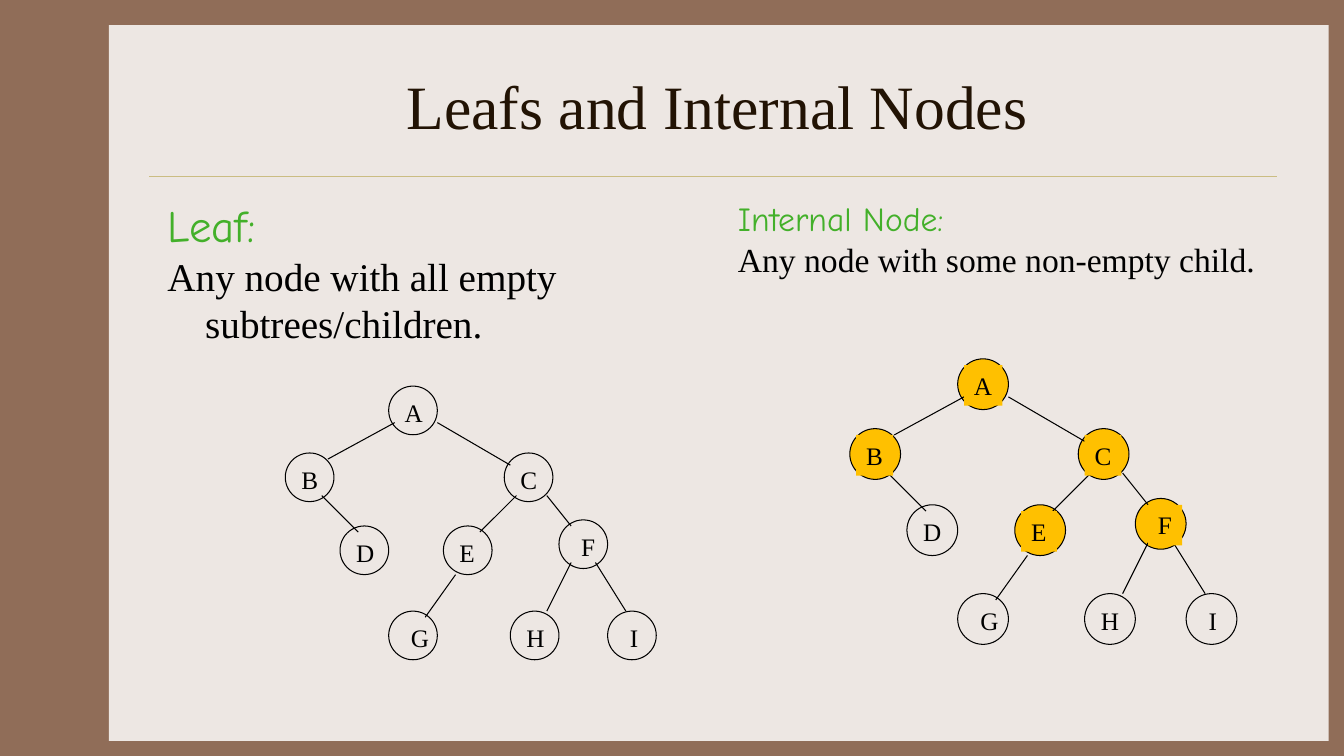
from dataclasses import dataclass

from lxml.etree import SubElement
from pptx import Presentation
from pptx.dml.color import RGBColor
from pptx.enum.shapes import MSO_CONNECTOR, MSO_SHAPE
from pptx.enum.text import MSO_ANCHOR, MSO_AUTO_SIZE, PP_ALIGN
from pptx.oxml.ns import qn
from pptx.util import Pt


@dataclass(frozen=True)
class Theme:
    frame: RGBColor = RGBColor(0x90, 0x6D, 0x58)
    panel: RGBColor = RGBColor(0xED, 0xE7, 0xE3)
    rule: RGBColor = RGBColor(0xCB, 0xBD, 0x83)
    title: RGBColor = RGBColor(0x22, 0x13, 0x04)
    term: RGBColor = RGBColor(0x43, 0xB0, 0x2A)
    ink: RGBColor = RGBColor(0, 0, 0)
    internal: RGBColor = RGBColor(0xFF, 0xC0, 0x00)
    serif: str = "Times New Roman"
    casual: str = "Comic Neue"
    title_size: int = 44
    label_size: int = 18


THEME = Theme()

# Tree layout in grid units: node -> (x, y, label offset, label width in points)
NODE_SIZE = 8
TREE_WIDTH = 61
NODES = {
    "A": (17, 0, 1, 27.4),
    "B": (0, 11, 1, 26.4),
    "C": (36, 11, 1, 26.4),
    "D": (9, 23, 1, 27.4),
    "E": (26, 23, 1, 25.6),
    "F": (45, 22, 2, 24.4),
    "G": (17, 37, 2, 27.4),
    "H": (37, 37, 1, 27.4),
    "I": (53, 37, 2, 20.6),
}
LABEL_HEIGHT = 29
EDGES = [
    (18, 6, 7, 12),
    (25, 6, 37, 13),
    (6, 18, 12, 24),
    (38, 18, 32, 24),
    (43, 18, 47, 23),
    (28, 31, 23, 38),
    (47, 29, 43, 37),
    (51, 29, 56, 37),
]


def style_font(font, size, name, color):
    values = {"size": Pt(size), "name": name, "bold": False}
    for key, value in values.items():
        setattr(font, key, value)
    font.color.rgb = color


def add_line(shapes, ends, color, width):
    line = shapes.add_connector(MSO_CONNECTOR.STRAIGHT, *(Pt(end) for end in ends))
    line.line.color.rgb = color
    line.line.width = Pt(width)
    SubElement(line._element.spPr, qn("a:effectLst"))


def add_background(slide, box):
    slide.background.fill.solid()
    slide.background.fill.fore_color.rgb = THEME.frame
    panel = slide.shapes.add_shape(MSO_SHAPE.RECTANGLE, *(Pt(length) for length in box))
    panel.shadow.inherit = False
    panel.fill.solid()
    panel.fill.fore_color.rgb = THEME.panel
    panel.line.fill.background()
    # Put the panel behind the title
    slide.shapes._spTree.insert(2, panel._element)
    left, top, width, _ = box
    add_line(slide.shapes, (left + 28.8, top + 108, left + 834.5, top + 108), THEME.rule, 0.25)


def add_title(slide, box, text):
    title = slide.shapes.title
    for key, length in zip(("left", "top", "width", "height"), box):
        setattr(title, key, Pt(length))
    frame = title.text_frame
    frame.text = text
    frame.vertical_anchor = MSO_ANCHOR.MIDDLE
    para = frame.paragraphs[0]
    para.alignment = PP_ALIGN.CENTER
    style_font(para.runs[0].font, THEME.title_size, THEME.serif, THEME.title)


def add_definition(slide, box, term, term_size, meaning, meaning_size):
    frame = slide.shapes.add_textbox(*(Pt(length) for length in box)).text_frame
    frame.word_wrap = True
    lines = [
        (term, term_size, THEME.casual, THEME.term),
        (meaning, meaning_size, THEME.serif, THEME.ink),
    ]
    for index, (text, *look) in enumerate(lines):
        para = frame.add_paragraph() if index else frame.paragraphs[0]
        indents = {"marL": Pt(27), "indent": Pt(-27)}
        for key, value in indents.items():
            para._p.get_or_add_pPr().set(key, str(int(value)))
        span = para.add_run()
        span.text = text
        style_font(span.font, *look)


def add_tree(slide, box, highlighted=""):
    left, top, width = box
    unit = width / TREE_WIDTH
    shapes = slide.shapes.add_group_shape().shapes

    def place(x, y):
        return left + x * unit, top + y * unit

    # Nodes
    for name, (x, y, _, _) in NODES.items():
        node_left, node_top = place(x, y)
        size = Pt(NODE_SIZE * unit)
        node = shapes.add_shape(MSO_SHAPE.OVAL, Pt(node_left), Pt(node_top), size, size)
        node.shadow.inherit = False
        node.line.color.rgb = THEME.ink
        node.line.width = Pt(0.75)
        if name in highlighted:
            node.fill.solid()
            node.fill.fore_color.rgb = THEME.internal
        else:
            node.fill.background()

    # Edges
    for x1, y1, x2, y2 in EDGES:
        add_line(shapes, (*place(x1, y1), *place(x2, y2)), THEME.ink, 0.75)

    # Labels
    for name, (x, y, offset, label_width) in NODES.items():
        label_left, label_top = place(x + offset, y + 1)
        label = shapes.add_textbox(Pt(label_left), Pt(label_top), Pt(label_width), Pt(LABEL_HEIGHT))
        if name in highlighted:
            label.fill.solid()
            label.fill.fore_color.rgb = THEME.internal
        frame = label.text_frame
        frame.word_wrap = False
        frame.auto_size = MSO_AUTO_SIZE.SHAPE_TO_FIT_TEXT
        span = frame.paragraphs[0].add_run()
        span.text = name
        style_font(span.font, THEME.label_size, THEME.serif, THEME.ink)


def main():
    deck = Presentation()
    deck.slide_width, deck.slide_height = Pt(960), Pt(540)
    page = deck.slides.add_slide(deck.slide_layouts.get_by_name("Title Only"))
    add_background(page, (77.8, 18, 871.2, 511.2))
    add_title(page, (112.5, 30, 800, 90), "Leafs and Internal Nodes")

    # Leaf column
    add_definition(page, (112.5, 138, 392, 324), "Leaf:", 32,
                   "Any node with all empty subtrees/children.", 28)
    add_tree(page, (203.8, 275.8, 265))

    # Internal node column
    add_definition(page, (520, 138, 392, 324), "Internal Node:", 24,
                   "Any node with some non-empty child.", 24)
    add_tree(page, (607, 256.3, 276.5), highlighted="ABCEF")

    deck.save("out.pptx")


if __name__ == "__main__":
    main()
